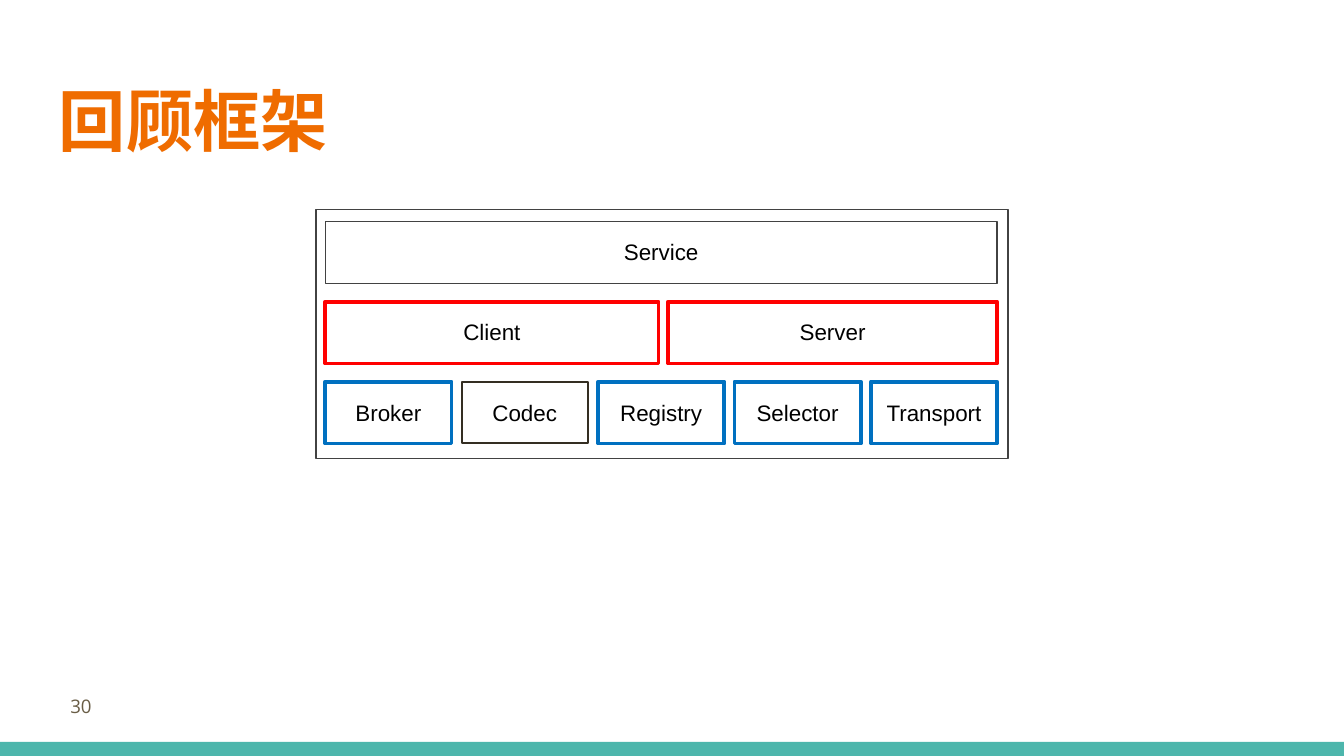
import dataclasses

import pptx
import pptx.dml.color
import pptx.enum.shapes
import pptx.enum.text
import pptx.util
from pptx.util import Inches


@dataclasses.dataclass(frozen=True)
class Theme:
    title: str = "EF6C00"
    number: str = "695D46"
    band: str = "4DB6AC"
    text: str = "000000"
    frame: str = "424242"
    core: str = "FF0000"
    plugin: str = "0070C0"
    plain: str = "342E22"
    title_size: int = 36
    number_size: int = 10
    label_size: int = 12
    thin: float = 0.75
    medium: float = 1
    thick: float = 2


@dataclasses.dataclass(frozen=True)
class Block:
    label: str
    left: float
    row: int
    width: float
    color: str
    weight: float
    top_inset: float = 0.12


THEME = Theme()
LEFT, WIDTH = 2.42, 5
ROW_TOP, LAST_ROW_TOP, ROW_HEIGHT = 1.65, 2.84, 0.46
ROW_PITCH = (LAST_ROW_TOP - ROW_TOP) / 2
PLUGINS = ["Broker", "Codec", "Registry", "Selector", "Transport"]
PLUGIN_WIDTH = 0.94
PLUGIN_PITCH = (WIDTH - PLUGIN_WIDTH) / (len(PLUGINS) - 1)


def rgb(color: str) -> pptx.dml.color.RGBColor:
    return pptx.dml.color.RGBColor.from_string(color)


def add_rect(slide, left: float, top: float, width: float, height: float):
    sp = slide.shapes.add_shape(
        pptx.enum.shapes.MSO_SHAPE.RECTANGLE,
        Inches(left), Inches(top), Inches(width), Inches(height))
    sp.shadow.inherit = False
    return sp


def outline(sp, color: str, weight: float) -> None:
    sp.fill.background()
    sp.line.color.rgb = rgb(color)
    sp.line.width = pptx.util.Pt(weight)


def write(sp, text: str, font: str, size: int, color: str, align: str,
          inset: float = 0.1, top_inset: float = 0.1, anchor: str = "TOP",
          bold: bool = False) -> None:
    tf = sp.text_frame
    tf.word_wrap = True
    tf.margin_left = tf.margin_right = tf.margin_bottom = Inches(inset)
    tf.margin_top = Inches(top_inset)
    tf.vertical_anchor = pptx.enum.text.MSO_ANCHOR[anchor]
    p = tf.paragraphs[0]
    p.text = text
    p.alignment = pptx.enum.text.PP_ALIGN[align]
    p.font.name = font
    p.font.size = pptx.util.Pt(size)
    p.font.bold = bold
    p.font.color.rgb = rgb(color)


def add_block(slide, block: Block) -> None:
    top = ROW_TOP + block.row * ROW_PITCH
    sp = add_rect(slide, block.left, top, block.width, ROW_HEIGHT)
    outline(sp, block.color, block.weight)
    write(sp, block.label, "Arial", THEME.label_size, THEME.text, "CENTER",
          inset=0, top_inset=block.top_inset)


def plugin_block(index: int, label: str) -> Block:
    color, weight = ((THEME.plain, THEME.medium) if label == "Codec"
                     else (THEME.plugin, THEME.thick))
    return Block(label, LEFT + index * PLUGIN_PITCH, 2, PLUGIN_WIDTH, color, weight, 0.13)


def main() -> None:
    prs = pptx.Presentation()
    prs.slide_width = Inches(10)
    prs.slide_height = prs.slide_width * 9 // 16
    slide = prs.slides.add_slide(prs.slide_layouts[6])

    band = add_rect(slide, 0, 5.52, 10, 0.11)
    band.fill.solid()
    band.fill.fore_color.rgb = rgb(THEME.band)
    band.line.fill.background()

    title = slide.shapes.add_textbox(Inches(0.34), Inches(0.49), Inches(9.32), Inches(0.77))
    write(title, "回顾框架", "Arial Narrow", THEME.title_size, THEME.title, "LEFT", bold=True)
    number = slide.shapes.add_textbox(Inches(0.18), Inches(5.04), Inches(0.6), Inches(0.43))
    write(number, "30", "Open Sans", THEME.number_size, THEME.number, "RIGHT", anchor="MIDDLE")

    frame = add_rect(slide, 2.35, 1.56, 5.15, 1.85)
    outline(frame, THEME.frame, THEME.thin)

    blocks = [
        Block("Service", LEFT, 0, WIDTH, THEME.frame, THEME.thin),
        Block("Client", LEFT, 1, 2.48, THEME.core, THEME.thick),
        Block("Server", 4.97, 1, 2.45, THEME.core, THEME.thick),
        *(plugin_block(i, label) for i, label in enumerate(PLUGINS)),
    ]
    for block in blocks:
        add_block(slide, block)

    prs.save("out.pptx")


if __name__ == "__main__":
    main()
